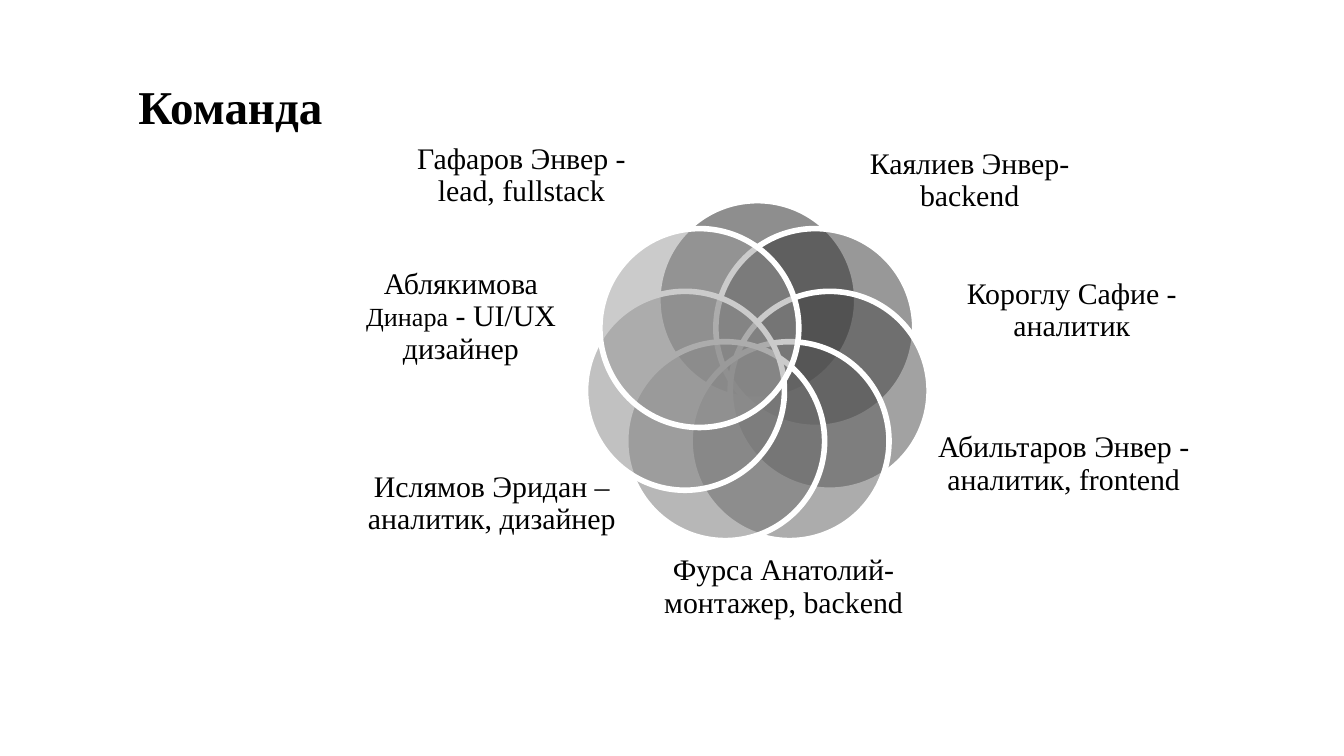
from math import cos, pi, sin

from lxml.etree import SubElement
from pptx import Presentation
from pptx.dml.color import RGBColor
from pptx.enum.shapes import MSO_SHAPE
from pptx.enum.text import MSO_ANCHOR, MSO_AUTO_SIZE, PP_ALIGN
from pptx.oxml.ns import qn
from pptx.util import Inches, Pt

SLIDE_WIDTH = Inches(10)
SLIDE_HEIGHT = SLIDE_WIDTH * 9 // 16
COLUMN, ROW = SLIDE_WIDTH / 100, SLIDE_HEIGHT / 56.25

BLACK = RGBColor(0x00, 0x00, 0x00)
WHITE = RGBColor(0xFF, 0xFF, 0xFF)
PETAL_GREYS = [RGBColor(level, level, level)
               for level in (0x1E, 0x32, 0x47, 0x5B, 0x70, 0x84, 0x98)]

RING_CENTER, RING_RADIUS, PETAL_SIZE = (56.35, 27.85), 5.52, 14.8

TITLE_FONT = {"name": "Times New Roman", "size": Pt(25.2), "bold": True}
MEMBER_FONT = {"name": "Times New Roman", "size": Pt(16)}
SMALL_FONT = {**MEMBER_FONT, "size": Pt(14)}
TITLE_FRAME = {"auto_size": MSO_AUTO_SIZE.NONE, "word_wrap": True,
               "vertical_anchor": MSO_ANCHOR.BOTTOM,
               "margin_left": Inches(0.1), "margin_right": Inches(0.1),
               "margin_top": Inches(0.1), "margin_bottom": Inches(0.1)}
MEMBER_FRAME = {"word_wrap": True, "vertical_anchor": MSO_ANCHOR.MIDDLE,
                "margin_left": 0, "margin_right": 0,
                "margin_top": 0, "margin_bottom": 0}

MEMBERS = [
    ((69.6, 30, 19.1, 9.1), [("Абильтаров Энвер - аналитик, frontend", MEMBER_FONT)]),
    ((47.7, 38.7, 21.2, 10), [("Фурса Анатолий- монтажер, backend", MEMBER_FONT)]),
    ((71.9, 17.8, 15.7, 10.7), [("Короглу Сафие - аналитик", MEMBER_FONT)]),
    ((26.8, 32.6, 19.6, 9.8), [("Ислямов Эридан – аналитик, дизайнер", MEMBER_FONT)]),
    ((25.8, 18.7, 17, 9.8), [("Аблякимова ", MEMBER_FONT), ("Динара", SMALL_FONT),
                             (" - UI/UX дизайнер", MEMBER_FONT)]),
    ((64.3, 8.1, 15.7, 10.7), [("Каялиев Энвер- backend", MEMBER_FONT)]),
    ((29.8, 8.1, 18, 10), [("Гафаров Энвер - lead, fullstack", MEMBER_FONT)]),
]


def apply_format(target, values):
    for name, value in values.items():
        setattr(target, name, value)


def on_grid(column, row, columns, rows):
    return (round(column * COLUMN), round(row * ROW),
            round(columns * COLUMN), round(rows * ROW))


def write_runs(paragraph, runs):
    for words, font in runs:
        run = paragraph.add_run()
        run.text = words
        apply_format(run.font, font)
        run.font.color.rgb = BLACK


def place_title(title, words):
    place = dict(zip(("left", "top", "width", "height"), on_grid(9.3, 4.7, 93.2, 6.3)))
    apply_format(title, place)
    apply_format(title.text_frame, TITLE_FRAME)
    heading = title.text_frame.paragraphs[0]
    heading.alignment = PP_ALIGN.LEFT
    write_runs(heading, [(words, TITLE_FONT)])


def add_petal(flower, index, grey):
    angle = 2 * pi * index / len(PETAL_GREYS)
    column = RING_CENTER[0] + RING_RADIUS * sin(angle) - PETAL_SIZE / 2
    row = RING_CENTER[1] - RING_RADIUS * cos(angle) - PETAL_SIZE / 2
    petal = flower.add_shape(MSO_SHAPE.OVAL, *on_grid(column, row, PETAL_SIZE, PETAL_SIZE))
    petal.shadow.inherit = False
    petal.fill.solid()
    petal.fill.fore_color.rgb = grey
    tint = petal._element.spPr.find(qn("a:solidFill"))[0]
    SubElement(tint, qn("a:alpha"), val="50000")
    petal.line.color.rgb = WHITE
    petal.line.width = Pt(3)


def add_member(flower, place, runs):
    member = flower.add_textbox(*on_grid(*place))
    apply_format(member.text_frame, MEMBER_FRAME)
    caption = member.text_frame.paragraphs[0]
    apply_format(caption, {"alignment": PP_ALIGN.CENTER, "line_spacing": 0.9})
    write_runs(caption, runs)


def main():
    deck = Presentation()
    apply_format(deck, {"slide_width": SLIDE_WIDTH, "slide_height": SLIDE_HEIGHT})
    slide = deck.slides.add_slide(deck.slide_layouts[5])
    place_title(slide.shapes.title, "Команда")
    flower = slide.shapes.add_group_shape().shapes
    for index, (grey, (place, runs)) in enumerate(zip(PETAL_GREYS, MEMBERS)):
        add_petal(flower, index, grey)
        add_member(flower, place, runs)
    deck.save("out.pptx")


if __name__ == "__main__":
    main()
